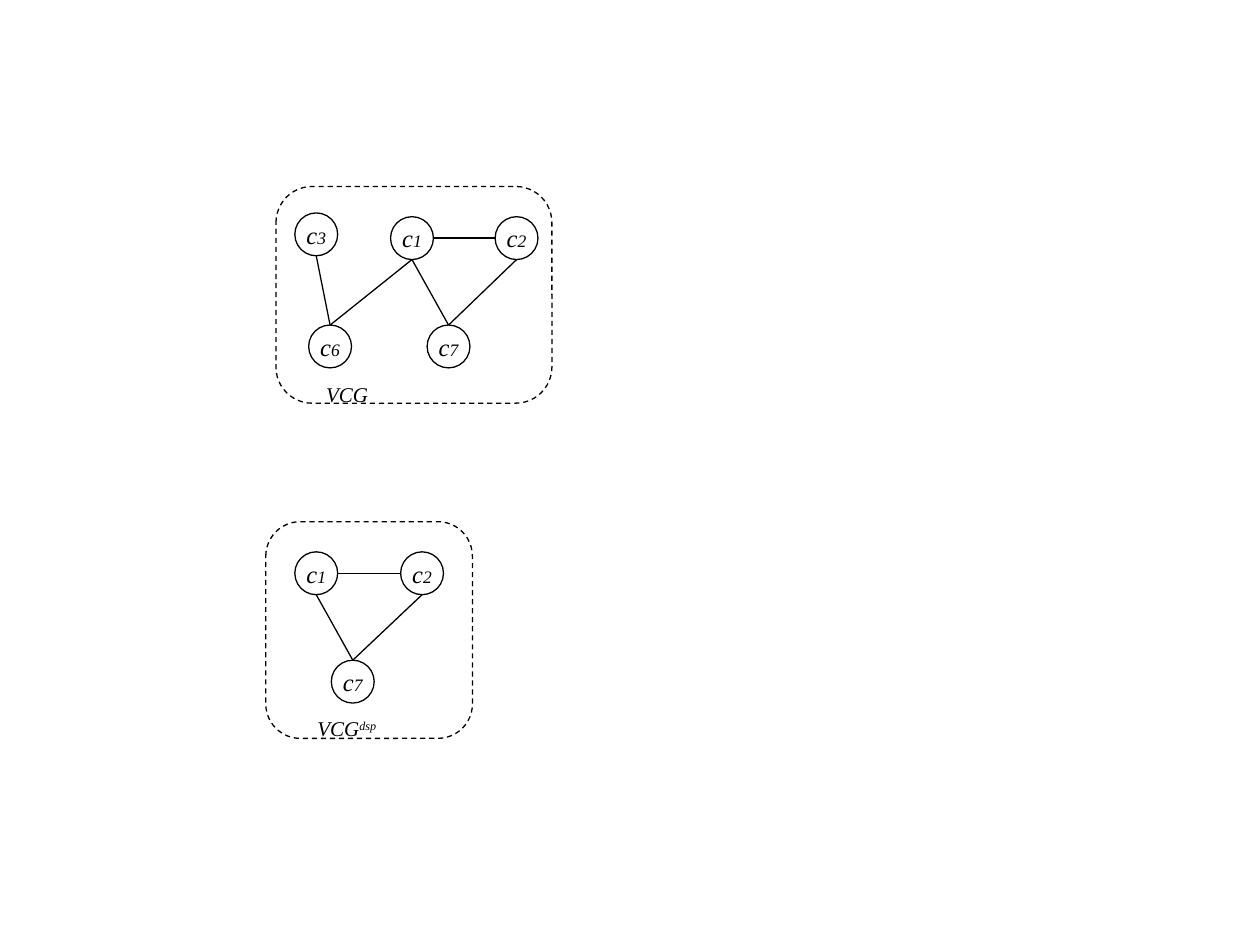
from pptx import Presentation
from pptx.dml.color import RGBColor
from pptx.enum.dml import MSO_LINE as Dash
from pptx.enum.shapes import MSO_CONNECTOR as Conn, MSO_SHAPE as Shape
from pptx.enum.text import MSO_ANCHOR as Anchor, MSO_AUTO_SIZE as Fit, PP_ALIGN as Align
from pptx.oxml.ns import qn
from pptx.util import Inches, Pt
from lxml import etree

BLACK = RGBColor(0, 0, 0)
SIZE = 0.34
HALF = SIZE / 2

# Each graph: frame, node corners, edges (first end, second end), label
graphs = [
    {"frame": (2.19, 1.48, 2.19, 1.72),
     "nodes": {"2": (3.93, 1.72), "1": (3.1, 1.72), "6": (2.45, 2.58),
               "7": (3.39, 2.58), "3": (2.34, 1.69)},
     "edges": ["16", "17", "27", "36", "12"],
     "label": (2.49, 2.98, 0.54, 0.3), "sup": ""},
    {"frame": (2.11, 4.14, 1.64, 1.72),
     "nodes": {"2": (3.18, 4.38), "1": (2.34, 4.38), "7": (2.63, 5.24)},
     "edges": ["17", "27", "12"],
     "label": (2.42, 5.63, 0.69, 0.3), "sup": "dsp"},
]

prs = Presentation()
prs.slide_width, prs.slide_height = Inches(10), Inches(7.5)
slide = prs.slides.add_slide(prs.slide_layouts[6])
shapes = slide.shapes


def add_run(para, text, size):
    run = para.add_run()
    run.text = text
    look = {"name": "Times New Roman", "size": Pt(size), "italic": True}
    for key, value in look.items():
        setattr(run.font, key, value)
    run.font.color.rgb = BLACK
    return run


def add_outline(kind, box):
    shape = shapes.add_shape(kind, *map(Inches, box))
    shape.shadow.inherit = False
    shape.fill.background()
    shape.line.color.rgb = BLACK
    shape.line.width = Pt(0.75)
    return shape


for graph in graphs:
    nodes = graph["nodes"]

    # Round nodes
    for num, (left, top) in nodes.items():
        node = add_outline(Shape.OVAL, (left, top, SIZE, SIZE))
        frame = node.text_frame
        frame.word_wrap = False
        frame.vertical_anchor = Anchor.MIDDLE
        para = frame.paragraphs[0]
        para.alignment = Align.CENTER
        add_run(para, "c", 14)
        add_run(para, num, 10)

    # Edges: side to side within a row, bottom to top between rows
    for a, b in graph["edges"]:
        (ax, ay), (bx, by) = nodes[a], nodes[b]
        if ay == by:
            ends = (ax + SIZE, ay + HALF, bx, by + HALF)
        else:
            ends = (ax + HALF, ay + SIZE, bx + HALF, by)
        edge = shapes.add_connector(Conn.STRAIGHT, *map(Inches, ends))
        edge.line.color.rgb = BLACK
        edge.line.width = Pt(0.75)
        etree.SubElement(edge._element.spPr, qn("a:effectLst"))

    # Dashed frame
    border = add_outline(Shape.ROUNDED_RECTANGLE, graph["frame"])
    border.line.dash_style = Dash.DASH

    # Label
    label = shapes.add_textbox(*map(Inches, graph["label"]))
    frame = label.text_frame
    frame.word_wrap = False
    frame.auto_size = Fit.SHAPE_TO_FIT_TEXT
    para = frame.paragraphs[0]
    add_run(para, "VCG", 12)
    if graph["sup"]:
        sup = add_run(para, graph["sup"], 12)
        sup._r.get_or_add_rPr().set("baseline", "30000")

prs.save("out.pptx")
